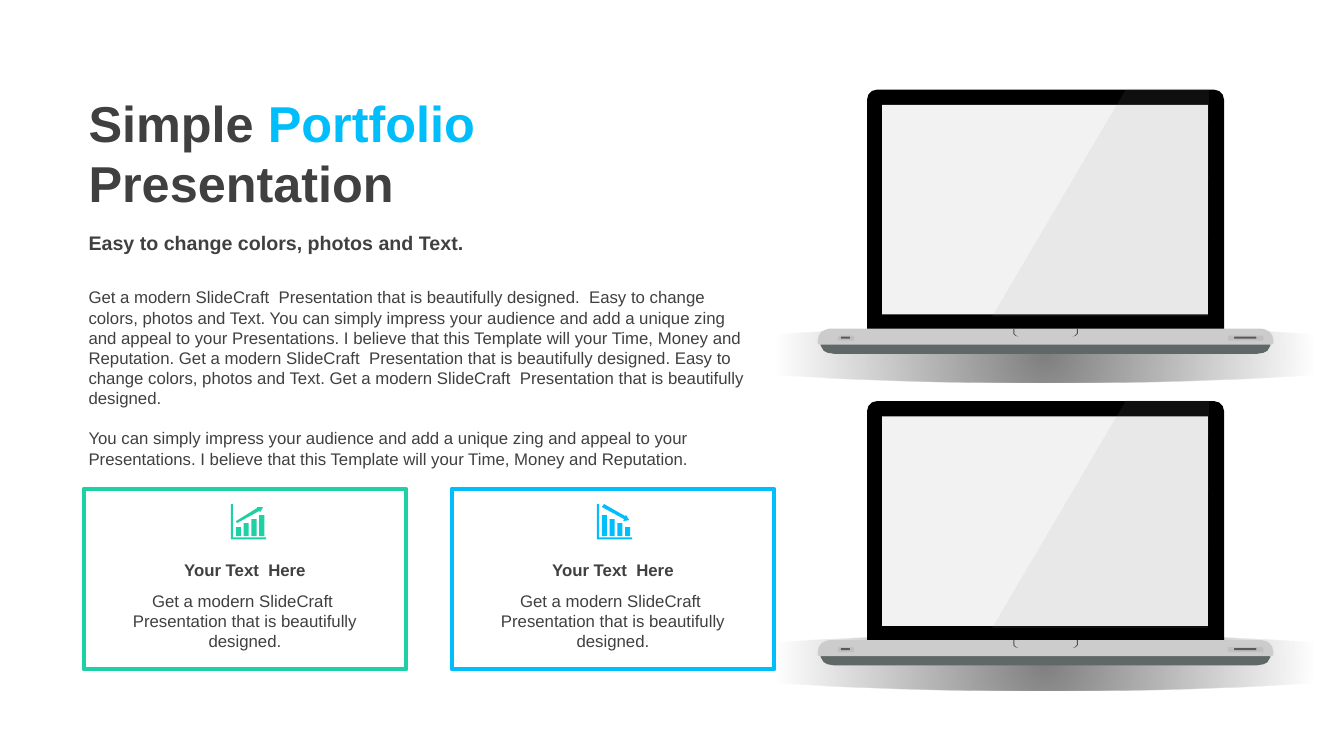
"""Build the portfolio slide with two laptops and two text cards."""
from dataclasses import dataclass

from lxml import etree
from pptx import Presentation
from pptx.dml.color import RGBColor
from pptx.enum.shapes import MSO_SHAPE
from pptx.enum.text import MSO_AUTO_SIZE, PP_ALIGN
from pptx.oxml import parse_xml
from pptx.oxml.ns import nsdecls, qn
from pptx.util import Inches, Pt

RECTANGLE = MSO_SHAPE.RECTANGLE
ROUNDED = MSO_SHAPE.ROUNDED_RECTANGLE
LID = MSO_SHAPE.ROUND_2_SAME_RECTANGLE
OVAL = MSO_SHAPE.OVAL
LEFT, CENTER = PP_ALIGN.LEFT, PP_ALIGN.CENTER
GROW = MSO_AUTO_SIZE.SHAPE_TO_FIT_TEXT


@dataclass(frozen=True)
class Theme:
    font: str = "Arial"
    ink: str = "404040"
    green: str = "1ED0A6"
    blue: str = "00BDFB"
    white: str = "FFFFFF"
    shadow: str = "808080"
    foot: str = "5F6767"
    lid: str = "000000"
    screen: str = "F2F2F2"
    base: str = "CCCCCC"
    notch: str = "4D4D4D"
    port: str = "BFBFBF"
    slot: str = "595959"
    sheen: str = "999999"
    heading: int = 36
    subheading: int = 14
    body: int = 12


theme = Theme()
deck = Presentation()
deck.slide_width, deck.slide_height = Inches(13.33), Inches(7.5)
page = deck.slides.add_slide(deck.slide_layouts[6])


def add_outline(contours, color, dx=0, dy=0):
    """Draw filled closed contours, shifted by dx and dy inches."""
    moved = [[(Inches(x + dx), Inches(y + dy)) for x, y in points] for points in contours]
    builder = page.shapes.build_freeform(*moved[0][0])
    builder.add_line_segments(moved[0][1:])
    for points in moved[1:]:
        builder.move_to(*points[0])
        builder.add_line_segments(points[1:])
    shape = builder.convert_to_shape()
    shape.shadow.inherit = False
    shape.fill.solid()
    shape.fill.fore_color.rgb = RGBColor.from_string(color)
    shape.line.fill.background()
    return shape


def add_text(left, top, width, height, paragraphs, size, bold=False, align=LEFT, gap=0):
    """Add a text box whose paragraphs are lists of (text, color) runs."""
    box = page.shapes.add_textbox(Inches(left), Inches(top), Inches(width), Inches(height))
    frame = box.text_frame
    frame.word_wrap = True
    frame.auto_size = GROW
    for index, spans in enumerate(paragraphs):
        para = frame.paragraphs[0] if index == 0 else frame.add_paragraph()
        para.alignment = align
        if index and gap:
            para.space_before = Pt(gap)
        for text, color in spans:
            span = para.add_run()
            span.text = text
            span.font.name = theme.font
            span.font.size = Pt(size)
            span.font.bold = bold
            span.font.color.rgb = RGBColor.from_string(color)


MIDDLE = 10.37
foot_left = [(8.14, 3.4), (8.14, 3.43), (8.17, 3.48), (8.21, 3.5), (8.27, 3.51)]
base_left = [(8.13, 3.42), (8.11, 3.41), (8.11, 3.38), (8.12, 3.33), (8.15, 3.29),
             (8.19, 3.27), (8.23, 3.26)]
notch_left = [(10.05, 3.26), (10.05, 3.31), (10.07, 3.33), (10.1, 3.34),
              (10.08, 3.33), (10.06, 3.31), (10.06, 3.26)]
sheen = [(11.17, 0.88), (11.99, 0.88), (11.98, 3.14), (9.84, 3.14)]
foot, base, notch_right = [
    [(2 * MIDDLE - x, y) for x, y in reversed(half)]
    for half in (foot_left, base_left, notch_left)
]
panels = [
    (LID, 8.6, 0.89, 3.54, 2.43, 0.04, theme.lid),
    (RECTANGLE, 8.75, 1.04, 3.23, 2.08, None, theme.screen),
]
ports = [
    (ROUNDED, 8.31, 3.33, 0.16, 0.05, 0.28, theme.port),
    (ROUNDED, 8.34, 3.34, 0.09, 0.02, 0.28, theme.slot),
    (ROUNDED, 12.18, 3.33, 0.35, 0.05, 0.28, theme.port),
    (ROUNDED, 12.24, 3.34, 0.22, 0.02, 0.28, theme.slot),
]

for drop, shadow_top in ((0, 3.24), (3.09, 6.3)):
    shadow = page.shapes.add_shape(OVAL, Inches(6.56), Inches(shadow_top), Inches(7.61), Inches(0.55))
    shadow.shadow.inherit = False
    shadow.line.fill.background()
    fade = parse_xml(
        f'<a:gradFill {nsdecls("a")} rotWithShape="1"><a:gsLst>'
        f'<a:gs pos="0"><a:srgbClr val="{theme.shadow}"/></a:gs>'
        f'<a:gs pos="70000"><a:srgbClr val="{theme.shadow}"><a:alpha val="0"/></a:srgbClr></a:gs>'
        f'<a:gs pos="100000"><a:srgbClr val="{theme.shadow}"><a:alpha val="0"/></a:srgbClr></a:gs>'
        '</a:gsLst><a:path path="circle">'
        '<a:fillToRect l="50000" t="50000" r="50000" b="50000"/></a:path></a:gradFill>'
    )
    shadow._element.spPr.find(qn("a:prstGeom")).addnext(fade)

    add_outline([foot_left + foot], theme.foot, dy=drop)
    for parts in (panels, ports):
        for kind, left, top, width, height, corner, color in parts:
            part = page.shapes.add_shape(kind, Inches(left), Inches(top + drop), Inches(width), Inches(height))
            part.shadow.inherit = False
            if corner:
                part.adjustments[0] = corner
            part.fill.solid()
            part.fill.fore_color.rgb = RGBColor.from_string(color)
            part.line.fill.background()
        if parts is panels:
            add_outline([base_left + base], theme.base, dy=drop)
            add_outline([notch_left, notch_right], theme.notch, dy=drop)
    glass = add_outline([sheen], theme.sheen, dy=drop)
    tint = glass._element.spPr.find(qn("a:solidFill"))[0]
    etree.SubElement(tint, qn("a:alpha")).set("val", "10000")

add_text(0.78, 0.86, 4.25, 1.31,
         [[("Simple ", theme.ink), ("Portfolio", theme.blue)], [("Presentation", theme.ink)]],
         theme.heading, bold=True)
add_text(0.78, 2.24, 4.25, 0.34, [[("Easy to change colors, photos and Text.", theme.ink)]],
         theme.subheading, bold=True)
add_text(0.78, 2.8, 6.77, 1.92, [
    [("Get a modern SlideCraft  Presentation that is beautifully designed.  Easy to change colors, "
      "photos and Text. You can simply impress your audience and add a unique zing and appeal to "
      "your Presentations. I believe that this Template will your Time, Money and Reputation. "
      "Get a modern SlideCraft  Presentation that is beautifully designed. Easy to change colors, "
      "photos and Text. Get a modern SlideCraft  Presentation that is beautifully designed.",
      theme.ink)],
    [("You can simply impress your audience and add a unique zing and appeal to your Presentations. "
      "I believe that this Template will your Time, Money and Reputation.", theme.ink)],
], theme.body, gap=14.3)

bar_tops = [0.23, 0.19, 0.15, 0.11]
rising_arrow = [(0.26, 0.03), (0.32, 0.03), (0.29, 0.08), (0.28, 0.07), (0.06, 0.19),
                (0.05, 0.17), (0.26, 0.04)]
falling_arrow = [(0.07, 0), (0.28, 0.12), (0.29, 0.11), (0.32, 0.16), (0.26, 0.17),
                 (0.27, 0.15), (0.05, 0.03)]
axes = [(0, 0), (0.02, 0), (0.02, 0.33), (0.35, 0.33), (0.35, 0.35), (0, 0.35)]
cards = [
    (0.83, 2.29, theme.green, bar_tops, rising_arrow),
    (4.48, 5.92, theme.blue, bar_tops[::-1], falling_arrow),
]
for left, icon_left, color, tops, arrow in cards:
    card = page.shapes.add_shape(RECTANGLE, Inches(left), Inches(4.85), Inches(3.2), Inches(1.79))
    card.shadow.inherit = False
    card.fill.solid()
    card.fill.fore_color.rgb = RGBColor.from_string(theme.white)
    card.line.color.rgb = RGBColor.from_string(color)
    card.line.width = Pt(3)
    add_text(left + 0.17, 5.5, 2.86, 0.3, [[("Your Text  Here", theme.ink)]],
             theme.body, bold=True, align=CENTER)
    add_text(left + 0.17, 5.81, 2.86, 0.71,
             [[("Get a modern SlideCraft  Presentation that is beautifully designed.", theme.ink)]],
             theme.body, align=CENTER)
    bars = []
    for index, top in enumerate(tops):
        x = 0.05 + 0.077 * index
        bars.append([(x, top), (x + 0.05, top), (x + 0.05, 0.32), (x, 0.32)])
    add_outline(bars + [arrow, axes], color, dx=icon_left, dy=5)

deck.save("out.pptx")
